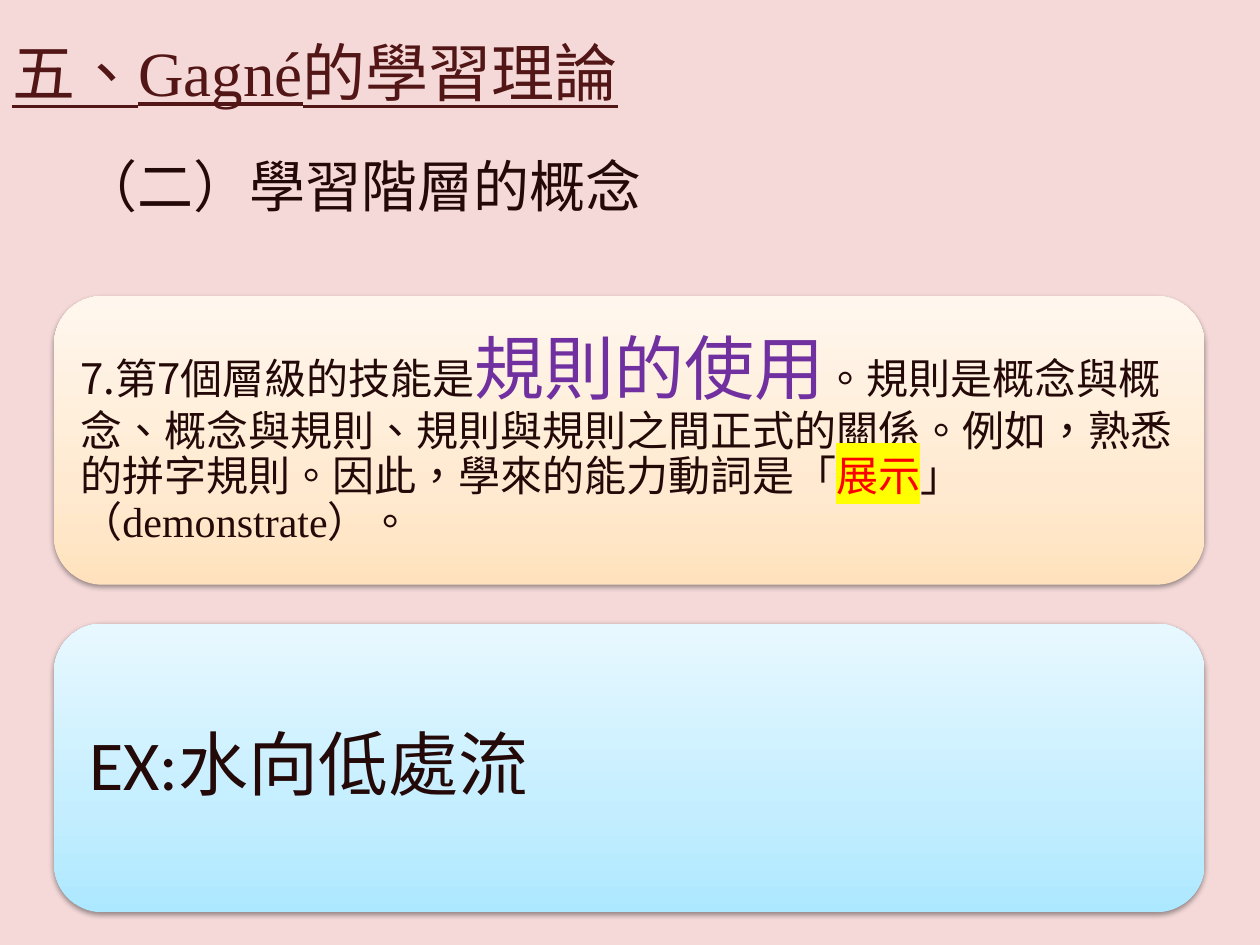
from dataclasses import dataclass

import pptx
import pptx.dml.color
import pptx.enum.shapes
import pptx.enum.text
import pptx.oxml
import pptx.oxml.ns
import pptx.slide
import pptx.text.text
import pptx.util

Inches = pptx.util.Inches
SANS, SERIF, LATIN = "Noto Sans CJK SC", "Times New Roman", "Calibri"
DARK, MAROON = "240909", "521616"
SPACE = pptx.oxml.ns.nsdecls("a")


@dataclass
class Run:
    text: str
    size: int
    color: str = DARK
    font: str = SANS
    line: bool = False
    mark: str = ""


@dataclass
class Card:
    top: float
    inset: float
    stops: tuple[str, str, str]
    runs: list[Run]


def tint(code: str) -> pptx.dml.color.RGBColor:
    return pptx.dml.color.RGBColor.from_string(code)


def add_run(para: pptx.text.text._Paragraph, item: Run) -> None:
    run = para.add_run()
    run.text = item.text
    font = run.font
    font.size = pptx.util.Pt(item.size)
    font.color.rgb = tint(item.color)
    if item.line:
        font.underline = True
    props = run._r.get_or_add_rPr()
    props.set("lang", "zh-TW")
    if item.mark:
        props.append(pptx.oxml.parse_xml(
            f'<a:highlight {SPACE}><a:srgbClr val="{item.mark}"/></a:highlight>'))
    font.name = item.font
    props.append(pptx.oxml.parse_xml(f'<a:ea {SPACE} typeface="{SANS}"/>'))


def add_text(slide: pptx.slide.Slide, box: tuple[float, ...], runs: list[Run],
             wrap: bool = True) -> pptx.text.text.TextFrame:
    frame = slide.shapes.add_textbox(*map(Inches, box)).text_frame
    frame.word_wrap = wrap
    frame.auto_size = pptx.enum.text.MSO_AUTO_SIZE.SHAPE_TO_FIT_TEXT
    for item in runs:
        add_run(frame.paragraphs[0], item)
    return frame


def add_card(slide: pptx.slide.Slide, card: Card) -> None:
    left, width, height, pad = 0.43, 9.13, 2.29, 0.11
    shape = slide.shapes.add_shape(
        pptx.enum.shapes.MSO_SHAPE.ROUNDED_RECTANGLE,
        Inches(left), Inches(card.top), Inches(width), Inches(height))
    shape.line.fill.background()
    stops = "".join(
        f'<a:gs pos="{pos * 1000}"><a:srgbClr val="{code}"/></a:gs>'
        for pos, code in zip((0, 35, 100), card.stops))
    props = shape._element.spPr
    props.insert_element_before(pptx.oxml.parse_xml(
        f'<a:gradFill {SPACE} rotWithShape="1"><a:gsLst>{stops}</a:gsLst>'
        '<a:lin ang="16200000" scaled="1"/></a:gradFill>'), "a:ln")
    props.append(pptx.oxml.parse_xml(
        f'<a:effectLst {SPACE}><a:outerShdw blurRad="40000" dist="20000" '
        'dir="5400000" rotWithShape="0"><a:srgbClr val="000000">'
        '<a:alpha val="38000"/></a:srgbClr></a:outerShdw></a:effectLst>'))
    box = (left + pad, card.top + pad, width - 2 * pad, height - 2 * pad)
    frame = add_text(slide, box, card.runs)
    frame.auto_size = pptx.enum.text.MSO_AUTO_SIZE.NONE
    frame.vertical_anchor = pptx.enum.text.MSO_ANCHOR.MIDDLE
    frame.margin_left = frame.margin_right = Inches(card.inset)
    frame.margin_top = frame.margin_bottom = Inches(card.inset)
    frame.paragraphs[0].line_spacing = 0.9


TITLE = [
    Run("五、", 36, MAROON, line=True),
    Run("Gagné", 36, MAROON, SERIF, line=True),
    Run("的學習理論", 36, MAROON, line=True),
]
CARDS = [
    Card(2.35, 0.1, ("FFE2BD", "FFEAD1", "FFF7EE"), [
        Run("7.第7個層級的技能是", 24),
        Run("規則的使用", 40, "7030A0"),
        Run("。規則是概念與概念、概念與規則、規則與規則之間正式的關係。"
            "例如，熟悉的拼字規則。因此，學來的能力動詞是「", 24),
        Run("展示", 24, "FF0000", mark="FFFF00"),
        Run("」（", 24),
        Run("demonstrate", 24, font=SERIF),
        Run("）。", 24),
    ]),
    Card(4.95, 0.17, ("ACE8FF", "C4EEFF", "E8F8FF"),
         [Run("EX:水向低處流", 40, font=LATIN)]),
]


def main() -> None:
    """Build the slide on the concept of learning hierarchies."""
    deck = pptx.Presentation()
    deck.slide_width, deck.slide_height = Inches(10), Inches(7.5)
    slide = deck.slides.add_slide(deck.slide_layouts[6])
    back = slide.background.fill
    back.solid()
    back.fore_color.rgb = tint("F5D9D9")
    add_text(slide, (0, 0.22, 9.76, 0.71), TITLE)
    for card in CARDS:
        add_card(slide, card)
    add_text(slide, (0.55, 1.15, 4.69, 0.64),
             [Run("（二）學習階層的概念", 32)], wrap=False)
    deck.save("out.pptx")


if __name__ == "__main__":
    main()
